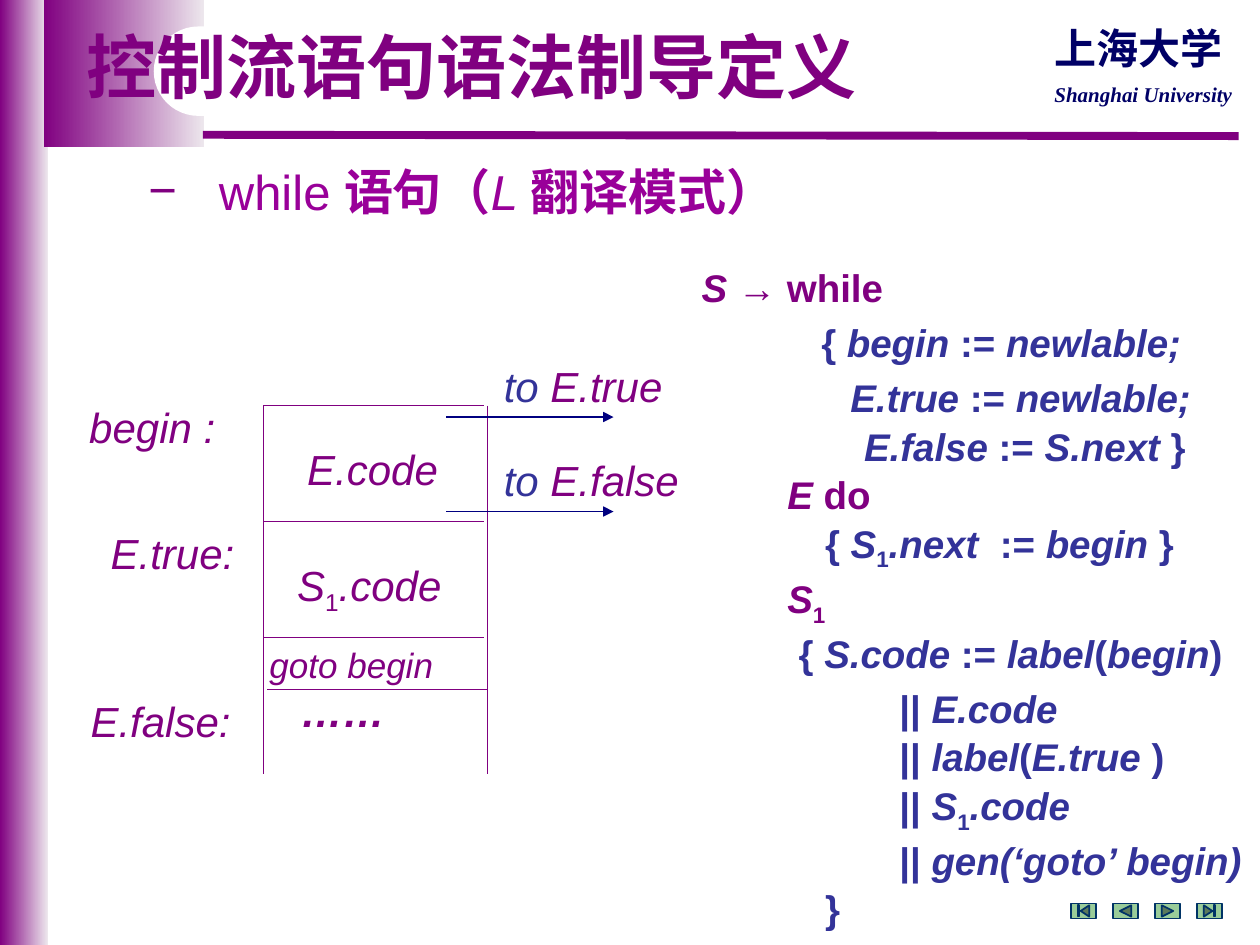
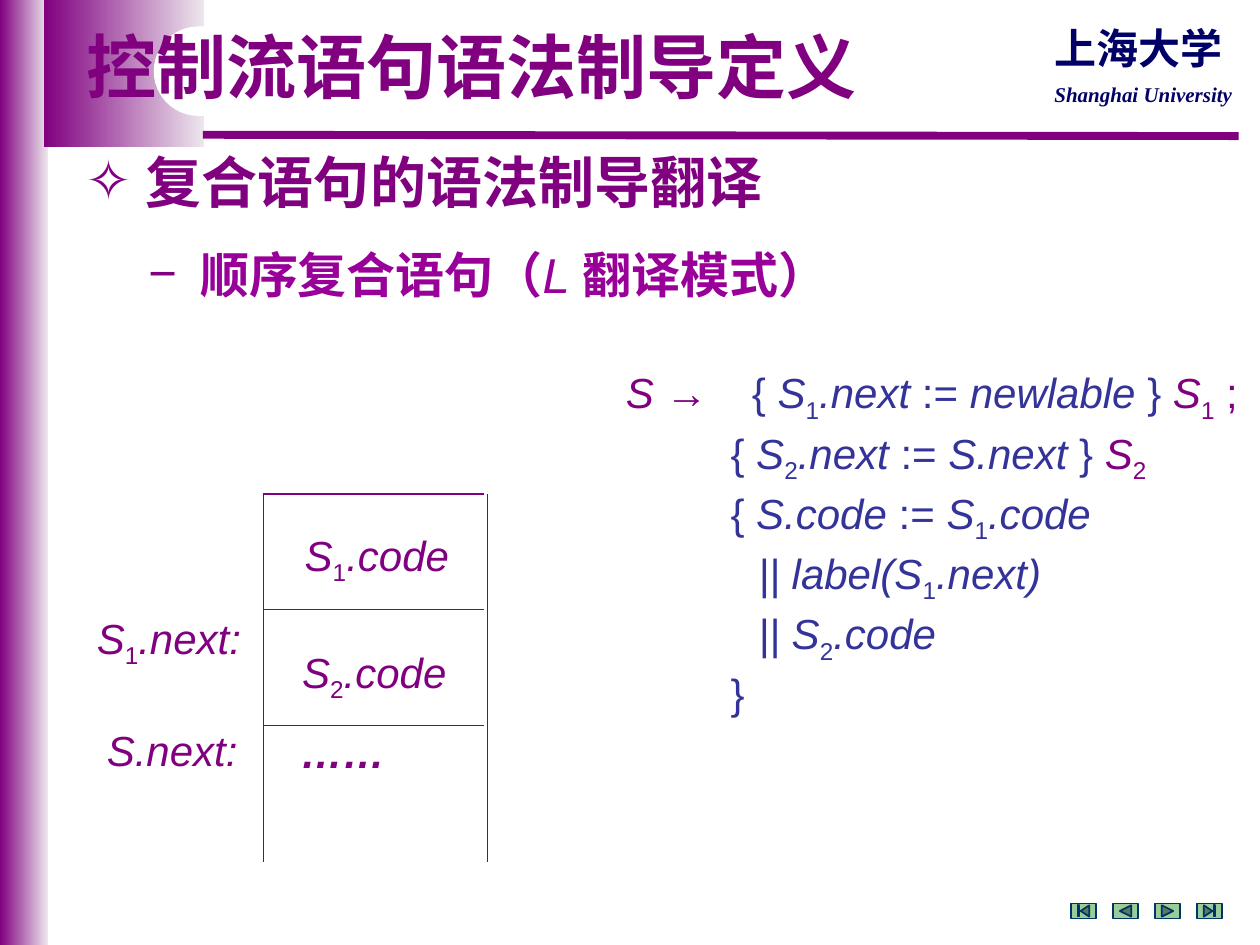
from lxml import etree
from pptx import Presentation
from pptx.dml.color import RGBColor
from pptx.enum import shapes as sh, text as tx
from pptx.oxml import ns
from pptx.util import Inches, Pt

HUES = {"plum": "800080", "pale": "EDE7ED", "violet": "990099", "blue": "333399",
        "navy": "000066", "ink": "000080", "green": "99CC99", "edge": "003366",
        "white": "FFFFFF"}
MARKS = {"p": "plum", "b": "blue", "v": "violet"}
SANS, CJK, SERIF = "Arial", "Noto Sans CJK SC", "Times New Roman"
TITLE = "控制流语句语法制导定义"
ROW = 0.92


def rgb(name):
    return RGBColor.from_string(HUES[name])


def sub(node, tag, **attrs):
    return etree.SubElement(node, ns.qn("a:" + tag), **attrs)


def split(line, hue, bold, ital):
    """Yield styled pieces: ~ flips italic, # flips bold, _ lowers one letter, @x sets a colour."""
    piece, chars = "", iter(line)
    for char in chars:
        if char not in "~#_@":
            piece += char
            continue
        if piece:
            yield piece, hue, bold, ital, False
            piece = ""
        if char == "~":
            ital = not ital
        elif char == "#":
            bold = not bold
        elif char == "@":
            hue = MARKS[next(chars)]
        else:
            yield next(chars), hue, bold, False, True
    if piece:
        yield piece, hue, bold, ital, False


def write(par, line, size=24, hue="plum", font=SANS, bold=False, ital=False):
    for piece, tint, strong, slant, low in split(line, hue, bold, ital):
        run = par.add_run()
        run.text = piece
        face = run.font
        face.size, face.bold, face.italic = Pt(size), strong, slant
        face.color.rgb = rgb(tint)
        face.name = font
        props = run._r.get_or_add_rPr()
        sub(props, "ea", typeface=CJK)
        if low:
            props.set("baseline", "-25000")


def label(slide, box, line, align=tx.PP_ALIGN.LEFT, wrap=False, **fmt):
    area = slide.shapes.add_textbox(*map(Inches, box))
    area.text_frame.word_wrap = wrap
    par = area.text_frame.paragraphs[0]
    par.alignment = align
    write(par, line, **fmt)
    return par


def bullet(slide, box, mark, hang, line, **fmt):
    par = label(slide, box, line, wrap=True, **fmt)
    props = par._p.get_or_add_pPr()
    props.set("marL", str(Inches(hang)))
    props.set("indent", str(-Inches(hang)))
    sub(sub(props, "buClr"), "srgbClr", val=HUES["plum"])
    sub(props, "buFont", typeface=SANS)
    sub(props, "buChar", char=mark)


def code(slide, box, lines, tab=None, **fmt):
    """Lines are (indent in inches, points before, text)."""
    frame = slide.shapes.add_textbox(*map(Inches, box)).text_frame
    frame.word_wrap = True
    frame.margin_right = 0
    for i, (inset, gap, line) in enumerate(lines):
        par = frame.add_paragraph() if i else frame.paragraphs[0]
        props = par._p.get_or_add_pPr()
        props.set("marL", str(Inches(inset)))
        props.set("indent", "0")
        if tab and "\t" in line:
            sub(sub(props, "tabLst"), "tab", pos=str(Inches(tab)), algn="l")
        par.line_spacing = 1.05
        par.space_before = Pt(gap)
        write(par, line, **fmt)


def rule(slide, x, y, x2, y2, hue="plum", width=0.75, arrow=False):
    line = slide.shapes.add_connector(sh.MSO_CONNECTOR.STRAIGHT, *map(Inches, (x, y, x2, y2)))
    line.line.color.rgb = rgb(hue)
    line.line.width = Pt(width)
    if arrow:
        sub(line.line._get_or_add_ln(), "tailEnd", type="triangle")
    sub(line._element.spPr, "effectLst")


def shape(slide, kind, box, fill, edge=None):
    item = slide.shapes.add_shape(kind, *map(Inches, box))
    item.shadow.inherit = False
    if isinstance(fill, tuple):
        item.fill.gradient()
        item.fill.gradient_angle = 0
        for stop, hue in zip(item.fill.gradient_stops, fill):
            stop.color.rgb = rgb(hue)
        first, last = item.fill.gradient_stops
        first.position, last.position = 0, 1
    else:
        item.fill.solid()
        item.fill.fore_color.rgb = rgb(fill)
    if edge:
        item.line.color.rgb = rgb(edge)
        item.line.width = Pt(1)
    else:
        item.line.fill.background()
    return item


def header(slide):
    kinds = sh.MSO_SHAPE
    for box in ((0, 0, 0.38, 7.5), (0.35, 0, 1.27, 1.17)):
        shape(slide, kinds.RECTANGLE, box, ("plum", "pale"))
    rule(slide, 1.61, 1.07, 9.83, 1.08, width=4.5)
    shape(slide, kinds.ROUNDED_RECTANGLE, (1.22, 0.21, 3.62, 0.71), "white").adjustments[0] = 0.5
    mid = tx.PP_ALIGN.CENTER
    label(slide, (8.26, 0.6, 1.63, 0.3), "Shanghai University", mid,
          size=12, font=SERIF, hue="navy", bold=True, ital=True)
    label(slide, (8.26, 0.13, 1.55, 0.5), "上海大学", mid, font=CJK, hue="navy", bold=True)


def title(slide):
    head = slide.shapes.title
    head.left, head.top, head.width, head.height = map(Inches, (0.59, 0.21, 7.09, 0.71))
    frame = head.text_frame
    frame.word_wrap = True
    frame.auto_size = tx.MSO_AUTO_SIZE.NONE
    frame.vertical_anchor = tx.MSO_ANCHOR.MIDDLE
    par = frame.paragraphs[0]
    par.alignment = tx.PP_ALIGN.LEFT
    par.line_spacing = 0.9
    write(par, TITLE, size=40, bold=True)
    slide.shapes._spTree.append(head._element)


def footer(slide):
    kinds = sh.MSO_SHAPE
    for i, kind in enumerate((kinds.ACTION_BUTTON_BEGINNING, kinds.ACTION_BUTTON_BACK_OR_PREVIOUS,
                              kinds.ACTION_BUTTON_FORWARD_OR_NEXT, kinds.ACTION_BUTTON_END)):
        shape(slide, kind, (8.5 + i / 3, 7.17, 0.2, 0.12), "green", "edge")


def stack(slide, x, y, parts):
    """Open-ended code frame; parts are labels placed from its top left corner."""
    for side in (0, 1.78):
        rule(slide, x + side, y, x + side, y + 2.92)
    for i in range(3):
        rule(slide, x, y + i * ROW, x + 1.75, y + i * ROW)
    for dx, dy, width, line in parts:
        label(slide, (x + dx, y + dy, width, 0.5), line, ital=True)


def start(deck):
    slide = deck.slides.add_slide(deck.slide_layouts[5])
    header(slide)
    title(slide)
    footer(slide)
    return slide


def loop(deck):
    slide = start(deck)
    bullet(slide, (1.08, 1.23, 7.54, 0.57), "−", 0.56,
           "while #语句（#~L ~#翻译模式）", size=28, hue="violet")
    x, y = 2.09, 3.22
    stack(slide, x, y, [
        (0.25, 0.25, 1.24, "E.code"), (0.17, 1.17, 1.36, "S_1.code"),
        (0.2, 2.17, 0.87, "#……"), (-1.48, -0.08, 1.21, "begin :"),
        (-1.31, ROW, 1.18, "E.true:"), (-1.47, 2.25, 1.31, "E.false:"),
        (1.81, -0.41, 1.46, "@bto @pE.true"), (1.81, 0.34, 1.59, "@bto @pE.false")])
    label(slide, (x - 0.05, y + 2 * ROW, 1.95, 0.43), "goto begin", wrap=True, size=20, ital=True)
    rule(slide, x + 0.03, y + 2.25, x + 1.78, y + 2.25)
    for dy in (0.09, 0.84):
        rule(slide, x + 1.45, y + dy, x + 2.78, y + dy, hue="ink", arrow=True)
    code(slide, (5.47, 2.03, 4.53, 4.91), [
        (0, 0, "@p~S ~→ while"),
        (0.95, 3.7, "{ ~begin ~:= ~newlable;"),
        (1.18, 3.7, "~E.true ~:= ~newlable;"),
        (1.29, 0, "~E.false ~:= ~S.next~ }"),
        (0.68, 0, "@p~E~ do"),
        (0.98, 0, "{ ~S_1.next  ~:= ~begin~ }"),
        (0.68, 0, "@p~S_1"),
        (0.77, 0, "{ ~S.code ~:= ~label~(~begin~)"),
        (1.57, 3.7, "|| ~E.code"),
        (1.57, 0, "|| ~label~(~E.true ~)"),
        (1.57, 0, "|| ~S_1.code"),
        (1.57, 0, "||~ gen(‘goto’ begin)"),
        (0.98, 0, "}")], size=22, hue="blue", bold=True)


def chain(deck):
    slide = start(deck)
    bullet(slide, (0.58, 1.12, 9.08, 0.63), "✧", 0.48, "复合语句的语法制导翻译",
           size=32, font=CJK, bold=True)
    bullet(slide, (1.08, 1.89, 8.92, 0.57), "−", 0.41,
           "#顺序复合语句（#~L ~#翻译模式）", size=28, hue="violet")
    stack(slide, 2.09, 3.92, [
        (0.23, 0.23, 1.36, "S_1.code"), (0.21, 1.16, 1.36, "S_2.code"),
        (0.2, 1.8, 0.87, "#……"), (-1.42, 0.89, 1.36, "S_1.next:"),
        (-1.34, 1.78, 1.24, "S.next:")])
    code(slide, (4.87, 2.84, 5.1, 2.8), [
        (0, 0, "@p~S ~→\t@b{ ~S_1.next ~:= ~newlable~ } @p~S_1~ ;"),
        (0.83, 0, "{ ~S_2.next ~:= ~S.next~ } @p~S_2"),
        (0.83, 0, "{ ~S.code ~:= ~S_1.code"),
        (1.05, 0, "~|| label(S_1.next)"),
        (1.05, 0, "~|| S_2.code"),
        (0.83, 0, "}")], tab=0.83, hue="blue")


def main():
    deck = Presentation()
    deck.slide_width, deck.slide_height = Inches(10), Inches(7.5)
    loop(deck)
    chain(deck)
    deck.save("out.pptx")


if __name__ == "__main__":
    main()
